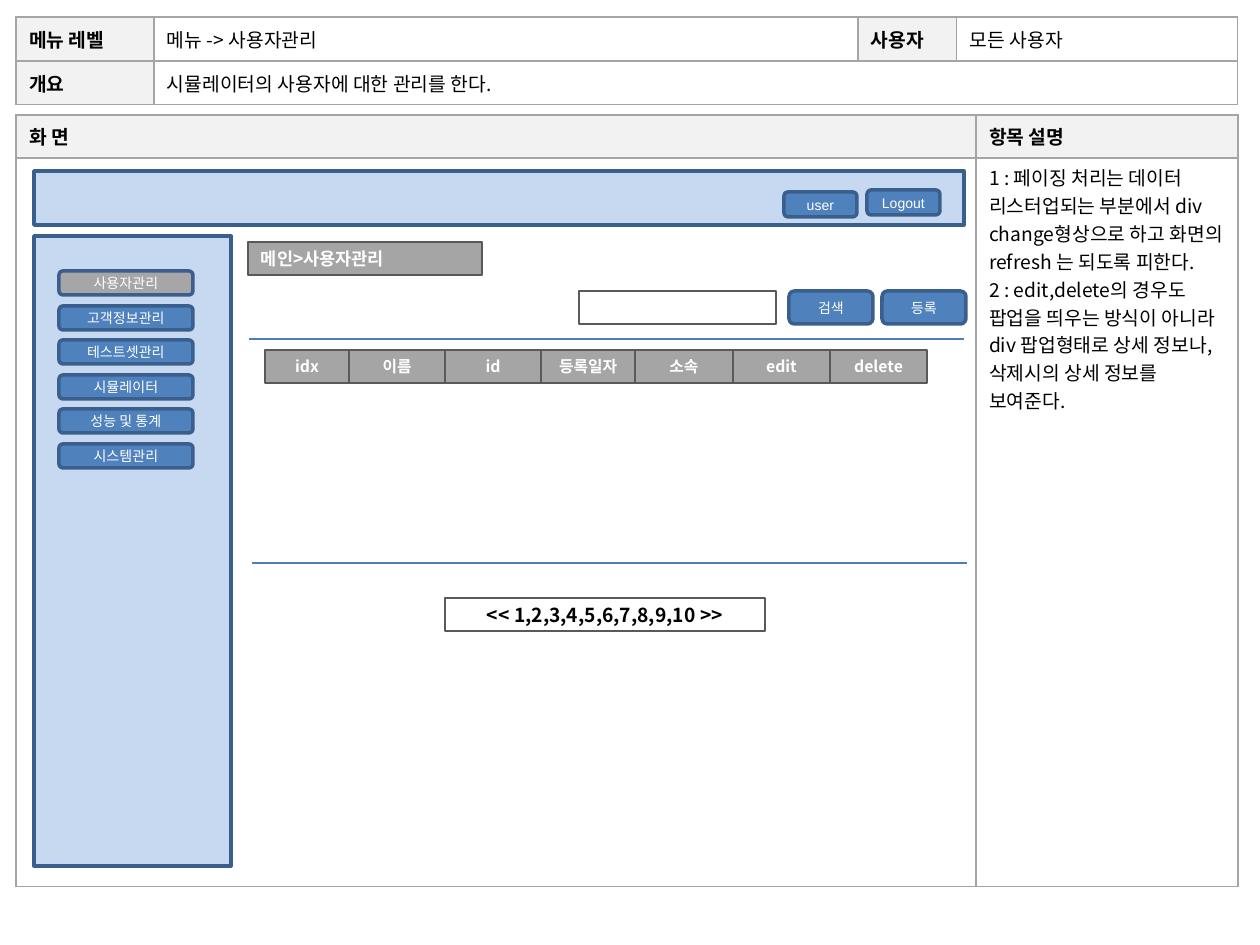
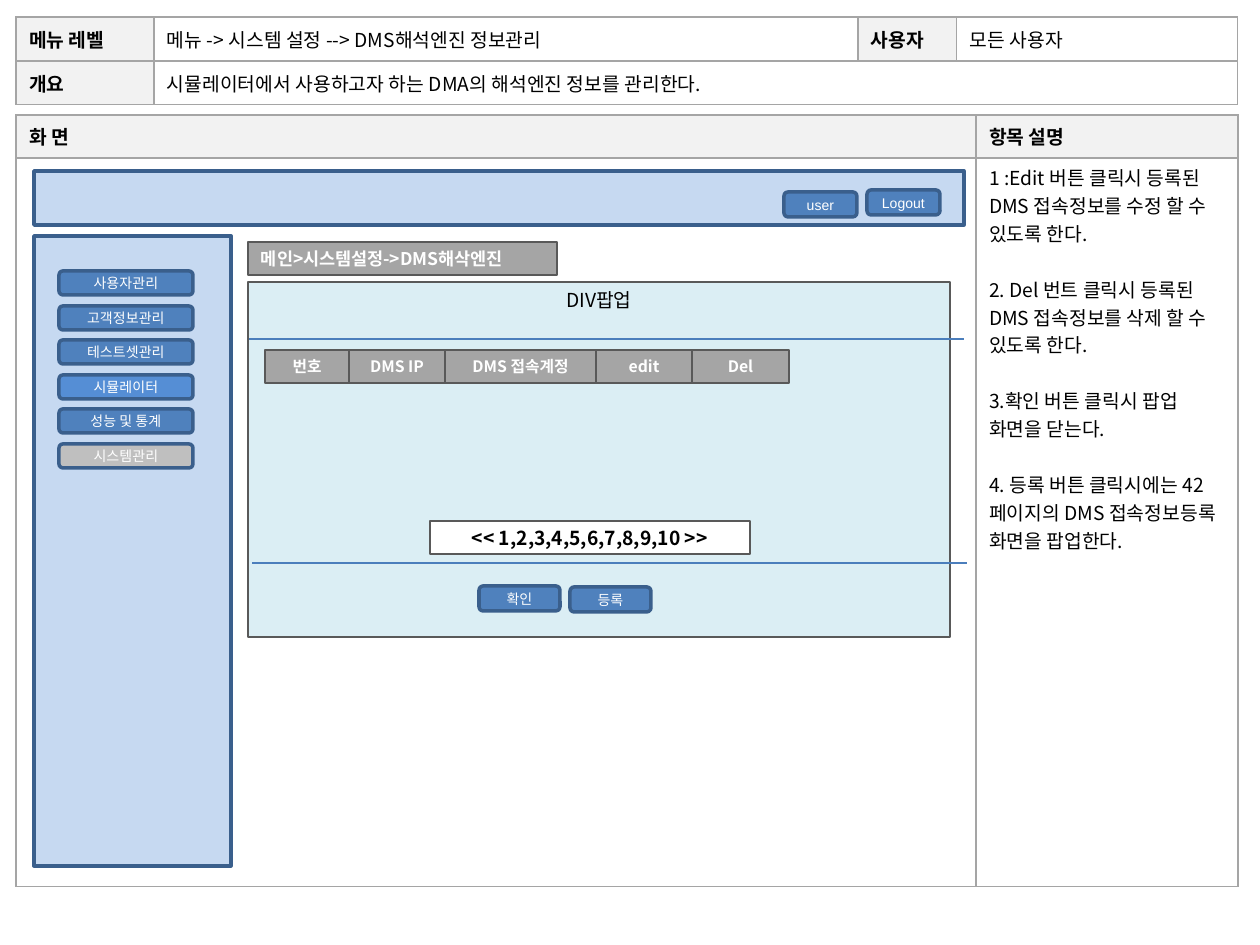
import pptx
import pptx.util
import pptx.dml.color
import pptx.enum.shapes
import pptx.enum.text
import pptx.oxml.ns
from lxml import etree

SCALE = 914400 / 126  # EMU per px
NOTO = "Noto Sans CJK KR"
COLORS = {
    "white": "FFFFFF", "black": "000000", "head": "F2F2F2", "border": "A5A5A5",
    "panel": "C6D9F1", "navy": "3A5F8C", "button": "4F81BD", "active": "A6A6A6",
    "light": "558ED5", "silver": "BFBFBF", "label": "A5A5A5", "edge": "595959",
    "rule": "4B7EBC", "popup": "DBEEF4",
}
RECT = pptx.enum.shapes.MSO_SHAPE.RECTANGLE
ROUND = pptx.enum.shapes.MSO_SHAPE.ROUNDED_RECTANGLE
TOP = pptx.enum.text.MSO_ANCHOR.TOP
MIDDLE = pptx.enum.text.MSO_ANCHOR.MIDDLE
LEFT = pptx.enum.text.PP_ALIGN.LEFT
CENTER = pptx.enum.text.PP_ALIGN.CENTER

# Text formats
PLAIN = {"size": 11, "name": NOTO, "color": "black", "bold": False}
BOLD = {**PLAIN, "bold": True}
BUTTON = {"size": 8, "name": "Arial", "color": "white", "bold": False}
CRUMB = {"size": 10, "name": NOTO, "color": "white", "bold": True}
COLUMN = {**CRUMB, "size": 9}

MENU = ["사용자관리", "고객정보관리", "테스트셋관리", "시뮬레이터", "성능 및 통계", "시스템관리"]


def px(n):
    return pptx.util.Emu(round(n * SCALE))


def rgb(key):
    return pptx.dml.color.RGBColor.from_string(COLORS[key])


def sub(parent, tag, **attrs):
    return etree.SubElement(parent, pptx.oxml.ns.qn(tag), attrs)


# Text
def write(tf, lines, fmt, align=LEFT, gap=0):
    for i, line in enumerate(lines):
        p = tf.add_paragraph() if i else tf.paragraphs[0]
        p.alignment = align
        if i and gap:
            p.space_before = pptx.util.Pt(gap)
        r = p.add_run()
        r.text = line
        values = {"size": pptx.util.Pt(fmt["size"]), "name": fmt["name"], "bold": fmt["bold"]}
        for key, value in values.items():
            setattr(r.font, key, value)
        r.font.color.rgb = rgb(fmt["color"])
        sub(r._r.get_or_add_rPr(), "a:ea", typeface=NOTO)


# Shapes
def add_box(s, at, fill, line="edge", weight=0.75, kind=RECT, text="", fmt=PLAIN,
            align=CENTER, anchor=MIDDLE, inset=13):
    sp = s.shapes.add_shape(kind, *map(px, at))
    sp.shadow.inherit = False
    sp.fill.solid()
    sp.fill.fore_color.rgb = rgb(fill)
    sp.line.color.rgb = rgb(line)
    sp.line.width = pptx.util.Pt(weight)
    if text:
        tf = sp.text_frame
        values = {"word_wrap": True, "vertical_anchor": anchor,
                  "margin_left": px(inset), "margin_right": px(inset),
                  "margin_top": px(inset // 2), "margin_bottom": px(inset // 2)}
        for key, value in values.items():
            setattr(tf, key, value)
        write(tf, [text], fmt, align)


def add_panel(s, at):
    add_box(s, at, "panel", "navy", 2)


def add_button(s, at, text, fill="button"):
    add_box(s, at, fill, "navy", 2, ROUND, text, BUTTON, inset=0)


def add_rule(s, x, y, length=715):
    c = s.shapes.add_connector(pptx.enum.shapes.MSO_CONNECTOR.STRAIGHT,
                               px(x), px(y), px(x + length), px(y))
    c.line.color.rgb = rgb("rule")
    c.line.width = pptx.util.Pt(0.75)
    sub(c._element.spPr, "a:effectLst")


def add_column_heads(s, columns, x=265, y=350):
    for text, width in columns:
        add_box(s, (x, y, width, 33), "label", text=text, fmt=COLUMN)
        x += width


def add_pager(s, x, y):
    add_box(s, (x, y, 320, 33), "white", text="<< 1,2,3,4,5,6,7,8,9,10 >>", fmt=BOLD)


# Tables
def add_grid(s, x, y, widths, heights):
    shape = s.shapes.add_table(len(heights), len(widths), px(x), px(y),
                               px(sum(widths)), px(sum(heights)))
    t = shape.table
    t.first_row = t.horz_banding = False
    for col, width in zip(t.columns, widths):
        col.width = px(width)
    for row, height in zip(t.rows, heights):
        row.height = px(height)
    return t


def fill_cell(cell, lines, head=False, anchor=MIDDLE, gap=0):
    values = {"vertical_anchor": anchor, "margin_left": px(13), "margin_right": px(13),
              "margin_top": px(5), "margin_bottom": px(5)}
    for key, value in values.items():
        setattr(cell, key, value)
    tcPr = cell._tc.get_or_add_tcPr()
    for side in ("a:lnL", "a:lnR", "a:lnT", "a:lnB"):
        ln = sub(tcPr, side, w="9525")
        sub(sub(ln, "a:solidFill"), "a:srgbClr", val=COLORS["border"])
    cell.fill.solid()
    cell.fill.fore_color.rgb = rgb("head" if head else "white")
    write(cell.text_frame, lines, BOLD if head else PLAIN, gap=gap)


def add_summary(s, menu_level, outline):
    t = add_grid(s, 16, 17, (138, 704, 99, 281), (44, 44))
    t.cell(1, 1).merge(t.cell(1, 3))
    rows = [("메뉴 레벨", menu_level, "사용자", "모든 사용자"), ("개요", outline, "", "")]
    for i, row in enumerate(rows):
        for j, text in enumerate(row):
            fill_cell(t.cell(i, j), [text] if text else [], head=bool(text) and j % 2 == 0)


def add_screen_frame(s, notes, gap):
    t = add_grid(s, 16, 115, (960, 262), (43, 729))
    fill_cell(t.cell(0, 0), ["화 면"], head=True)
    fill_cell(t.cell(0, 1), ["항목 설명"], head=True)
    fill_cell(t.cell(1, 0), [])
    fill_cell(t.cell(1, 1), notes, anchor=TOP, gap=gap)


# Everything the two screens share
def add_screen(prs, menu_level, outline, notes, crumb, crumb_width, menu_fills, gap=0):
    s = prs.slides.add_slide(prs.slide_layouts[6])
    add_summary(s, menu_level, outline)
    add_screen_frame(s, notes, gap)
    add_panel(s, (34, 171, 930, 54))
    add_panel(s, (34, 236, 197, 630))
    add_button(s, (867, 190, 73, 25), "Logout")
    add_button(s, (784, 192, 73, 25), "user")
    for i, text in enumerate(MENU):
        add_button(s, (59, round(271 + 34.6 * i), 134, 24), text, menu_fills.get(text, "button"))
    add_box(s, (248, 242, crumb_width, 33), "label", text=crumb, fmt=CRUMB, align=LEFT)
    return s


def add_rules(s):
    add_rule(s, 249, 339)
    add_rule(s, 252, 563)


def main():
    prs = pptx.Presentation()
    prs.slide_width, prs.slide_height = px(1260), px(945)

    # User management
    s = add_screen(
        prs, "메뉴 -> 사용자관리", "시뮬레이터의 사용자에 대한 관리를 한다.",
        ["1 : 페이징 처리는 데이터 리스터업되는 부분에서 div change형상으로 하고 화면의 refresh 는 되도록 피한다.",
         "2 : edit,delete의 경우도 팝업을 띄우는 방식이 아니라 div 팝업형태로 상세 정보나,삭제시의 상세 정보를 보여준다."],
        "메인>사용자관리", 234, {"사용자관리": "active"})
    add_box(s, (579, 291, 197, 33), "white")
    add_button(s, (789, 291, 84, 33), "검색")
    add_button(s, (882, 291, 84, 33), "등록")
    add_column_heads(s, [("idx", 84), ("이름", 96), ("id", 96), ("등록일자", 94),
                         ("소속", 98), ("edit", 97), ("delete", 97)])
    add_rules(s)
    add_pager(s, 445, 598)

    # Engine settings popup
    s = add_screen(
        prs, "메뉴 -> 시스템 설정 --> DMS해석엔진 정보관리",
        "시뮬레이터에서 사용하고자 하는 DMA의 해석엔진 정보를 관리한다.",
        ["1 :Edit 버튼 클릭시 등록된 DMS 접속정보를 수정 할 수 있도록 한다.",
         "2. Del 번트 클릭시 등록된 DMS 접속정보를 삭제 할 수 있도록 한다.",
         "3.확인 버튼 클릭시 팝업 화면을 닫는다.",
         "4. 등록 버튼 클릭시에는 42페이지의 DMS 접속정보등록 화면을 팝업한다."],
        "메인>시스템설정->DMS해삭엔진", 309,
        {"시뮬레이터": "light", "시스템관리": "silver"}, gap=16)
    add_box(s, (248, 282, 702, 355), "popup", text="DIV팝업", anchor=TOP)
    add_button(s, (479, 586, 81, 25), "확인")
    add_button(s, (570, 587, 81, 25), "등록")
    add_column_heads(s, [("번호", 84), ("DMS IP", 96), ("DMS 접속계정", 151),
                         ("edit", 96), ("Del", 97)])
    add_rules(s)
    add_pager(s, 430, 521)

    prs.save("out.pptx")


if __name__ == "__main__":
    main()
